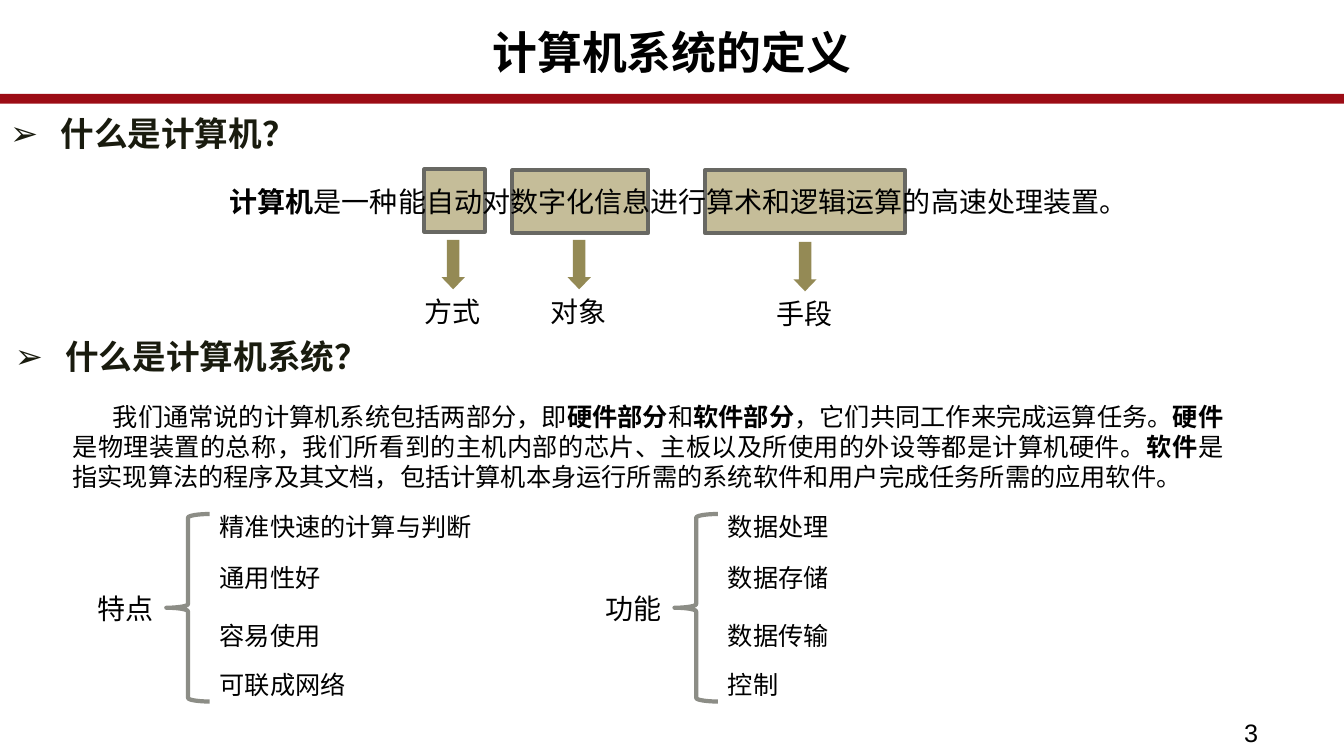
from lxml.etree import SubElement
from pptx import Presentation
from pptx.dml.color import RGBColor
from pptx.enum.shapes import MSO_SHAPE as Preset
from pptx.enum.text import MSO_ANCHOR as Anchor, MSO_AUTO_SIZE as AutoSize, PP_ALIGN as Align
from pptx.oxml.ns import qn
from pptx.util import Inches, Pt

COLUMNS, ROWS = 133.3, 75  # grid cells across and down the slide
COLOURS = {
    "text": "000000",
    "heading": "191B0E",
    "bar": "9C0C15",
    "highlight": "C5BD99",
    "frame": "686863",
    "arrow": "948A55",
    "brace": "8C8D86",
}


class SlideBuilder:
    """Draws elements on one slide; places are (column, row, columns, rows)."""

    font = "Arial"

    def __init__(self, deck):
        self.slide = deck.slides.add_slide(deck.slide_layouts[1])
        self.column = deck.slide_width / COLUMNS
        self.row = deck.slide_height / ROWS

    def place(self, at):
        left, top, width, height = at
        return [int(left * self.column), int(top * self.row),
                int(width * self.column), int(height * self.row)]

    def fill_text(self, holder, at, runs, size, colour="text", **layout):
        """Fill a text holder with (text, bold) runs in one paragraph."""
        place = dict(zip(("left", "top", "width", "height"), self.place(at)))
        for name, value in place.items():
            setattr(holder, name, value)
        frame = holder.text_frame
        frame_format = {"word_wrap": True, "auto_size": AutoSize.NONE,
                        "vertical_anchor": Anchor.TOP}
        for name, value in frame_format.items():
            setattr(frame, name, value)
        paragraph = frame.paragraphs[0]
        for name, value in {"space_before": Pt(0), **layout}.items():
            setattr(paragraph, name, value)
        for text, bold in runs:
            run = paragraph.add_run()
            run.text = text
            run_format = {"name": self.font, "size": Pt(size), "bold": bold}
            for name, value in run_format.items():
                setattr(run.font, name, value)
            run.font.color.rgb = RGBColor.from_string(COLOURS[colour])
        return paragraph

    def title(self, text, at):
        self.fill_text(self.slide.shapes.title, at, [(text, True)], 32,
                       alignment=Align.CENTER, line_spacing=0.89)

    def text(self, at, runs, size, **layout):
        box = self.slide.shapes.add_textbox(0, 0, 0, 0)
        return self.fill_text(box, at, runs, size, **layout)

    def label(self, at, text, size=20):
        self.text(at, [(text, False)], size)

    def heading(self, text, at, holder=None):
        """Arrow-bulleted heading, in a text box unless a holder is given."""
        holder = holder or self.slide.shapes.add_textbox(0, 0, 0, 0)
        properties = holder.text_frame.paragraphs[0]._p.get_or_add_pPr()
        properties.set("marL", str(Inches(0.5)))
        properties.set("indent", str(Inches(-0.5)))
        SubElement(properties, qn("a:buFont")).set("typeface", self.font)
        SubElement(properties, qn("a:buChar")).set("char", "➢")
        self.fill_text(holder, at, [(text, True)], 24, "heading",
                       line_spacing=0.94, space_after=Pt(2))

    def shape(self, preset, at, fill=None, line=None, weight=2.75):
        shape = self.slide.shapes.add_shape(preset, *self.place(at))
        shape.shadow.inherit = False
        if fill:
            shape.fill.solid()
            shape.fill.fore_color.rgb = RGBColor.from_string(COLOURS[fill])
        else:
            shape.fill.background()
        if line:
            shape.line.color.rgb = RGBColor.from_string(COLOURS[line])
            shape.line.width = Pt(weight)
        else:
            shape.line.fill.background()
        return shape

    def highlight(self, left, top, width):
        self.shape(Preset.RECTANGLE, (left, top, width, 6.2), "highlight", "frame")

    def pointer(self, left, top, caption):
        """Down arrow with its caption below."""
        arrow = self.shape(Preset.DOWN_ARROW, (left, top, 2.3, 4.9), "arrow")
        arrow.adjustments[0], arrow.adjustments[1] = 0.54, 0.52
        self.label((left - 2.7, top + 4.9, 7.8, 4.4), caption)

    def brace_list(self, left, name, items):
        self.label((left, 58.2, 7.8, 4.4), name)
        self.shape(Preset.LEFT_BRACE, (left + 7.8, 51, 4.3, 18.6), line="brace", weight=3)
        for top, item in zip((50.2, 55.3, 61, 65.9), items):
            self.label((left + 12.1, top, 27.1, 4), item, 18)


def main():
    deck = Presentation()
    deck.slide_width, deck.slide_height = Inches(13.33), Inches(7.5)
    page = SlideBuilder(deck)

    page.shape(Preset.ROUNDED_RECTANGLE, (-0.1, 9.5, 133.4, 0.6), "bar", "bar")
    page.title("计算机系统的定义", (0, 2.6, 133.3, 7.5))

    page.heading("什么是计算机？", (0, 11, 128.5, 5.1), page.slide.placeholders[1])
    for left, top, width in ((42.1, 16.8, 6), (50.8, 16.9, 13.5), (69.9, 16.9, 19.9)):
        page.highlight(left, top, width)
    page.text((21.8, 17.8, 91, 4.4), [
        ("计算机", True),
        ("是一种能自动对数字化信息进行算术和逻辑运算的高速处理装置。", False),
    ], 20)
    for left, top, caption in ((43.8, 23.8, "方式"), (56.3, 23.8, "对象"), (78.7, 24, "手段")):
        page.pointer(left, top, caption)

    page.heading("什么是计算机系统？", (0.5, 33.2, 128.5, 5.1))
    definition = page.text((6.2, 39.3, 116.1, 10.1), [
        ("我们通常说的计算机系统包括两部分，即", False),
        ("硬件部分", True),
        ("和", False),
        ("软件部分", True),
        ("，它们共同工作来完成运算任务。", False),
        ("硬件", True),
        ("是物理装置的总称，我们所看到的主机内部的芯片、主板以及所使用的外设等都是计算机硬件。", False),
        ("软件", True),
        ("是指实现算法的程序及其文档，包括计算机本身运行所需的系统软件和用户完成任务所需的应用软件。", False),
    ], 18, alignment=Align.JUSTIFY)
    definition._p.get_or_add_pPr().set("indent", str(Inches(0.4)))

    page.brace_list(8.7, "特点", ("精准快速的计算与判断", "通用性好", "容易使用", "可联成网络"))
    page.brace_list(59.1, "功能", ("数据处理", "数据存储", "数据传输", "控制"))
    page.label((122.4, 70.7, 10.9, 4.4), "3", 18)

    deck.save("out.pptx")


if __name__ == "__main__":
    main()
